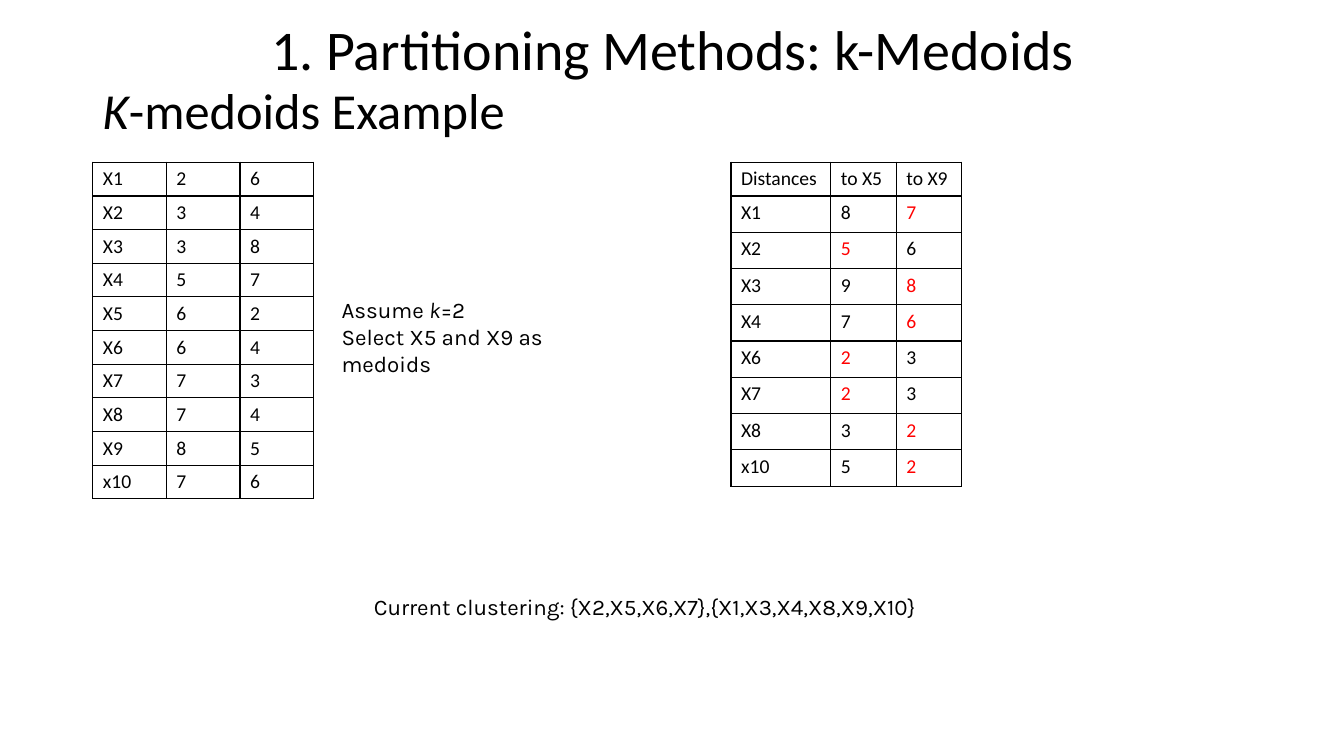
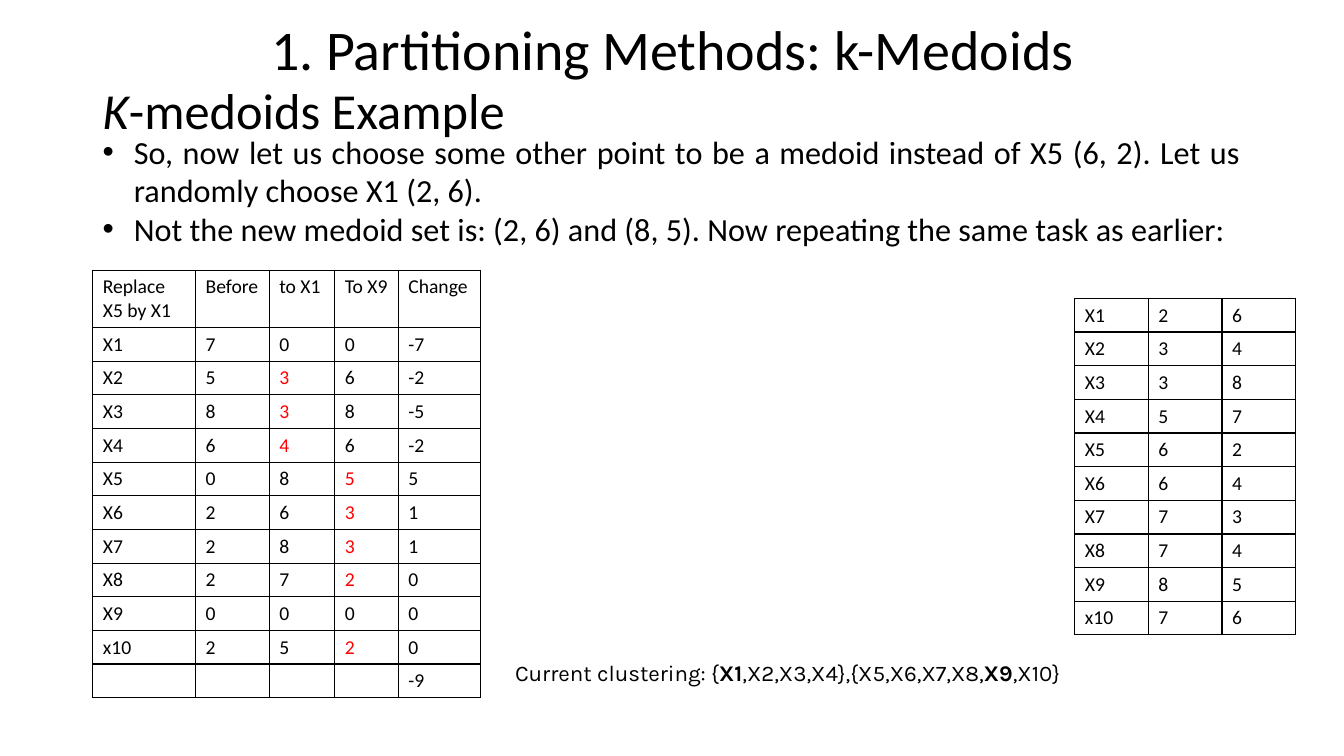
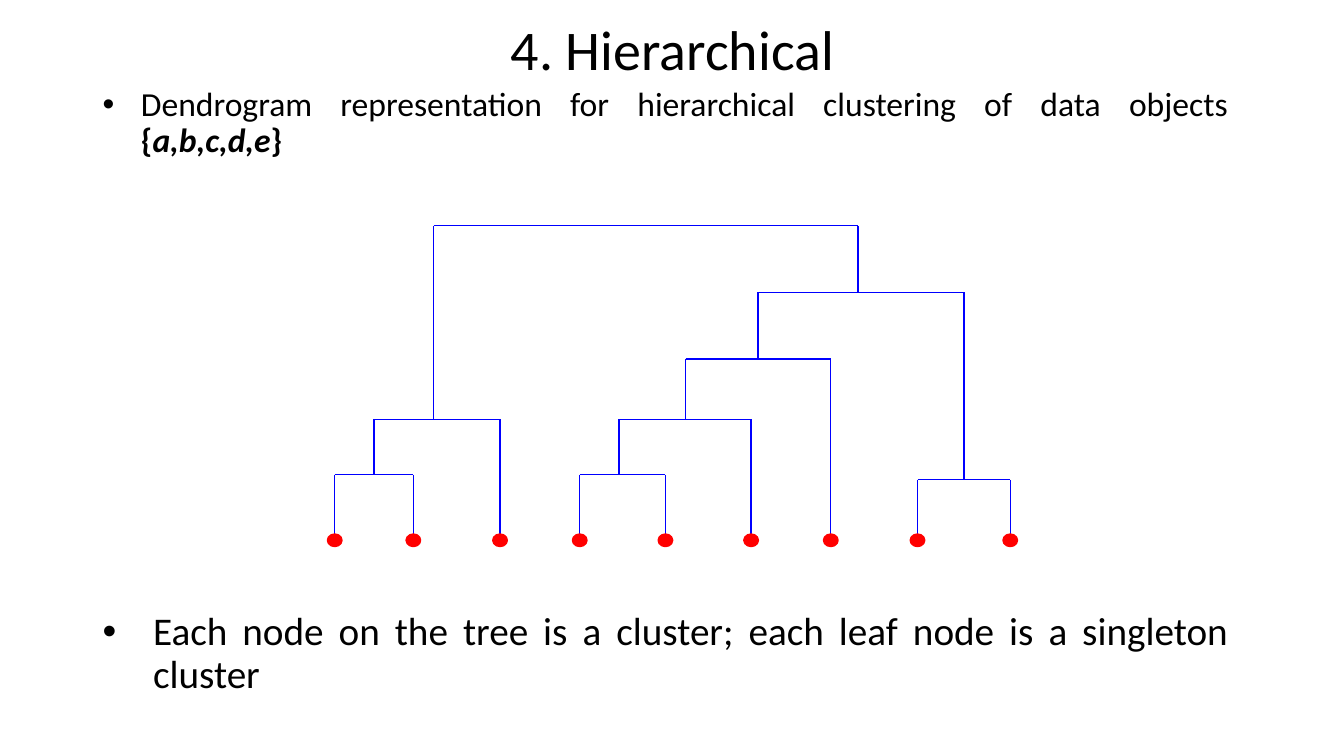
from lxml import etree
from pptx import Presentation
from pptx.dml.color import RGBColor
from pptx.enum.shapes import MSO_CONNECTOR, MSO_SHAPE
from pptx.enum.text import MSO_ANCHOR, PP_ALIGN
from pptx.oxml import parse_xml
from pptx.oxml.ns import nsdecls, qn
from pptx.util import Inches, Pt

LEFT, CENTER, JUSTIFY = PP_ALIGN.LEFT, PP_ALIGN.CENTER, PP_ALIGN.JUSTIFY
TOP, MIDDLE = MSO_ANCHOR.TOP, MSO_ANCHOR.MIDDLE
STRAIGHT, ELLIPSE = MSO_CONNECTOR.STRAIGHT, MSO_SHAPE.OVAL
BLACK, RED, BLUE = "000000", "FF0000", "0000FF"
BODY_FONT, NOTE_FONT = "Calibri", "Karla"


def colour(hex_string):
    return RGBColor.from_string(hex_string)


def add_text(page, at, paragraphs, size, font=BODY_FONT, align=LEFT,
             anchor=TOP, spacing=1.0, indent=0):
    """Each paragraph is a list of (text, style); style holds b and/or i."""
    box = page.shapes.add_textbox(*map(Inches, at))
    frame = box.text_frame
    frame.word_wrap = True
    frame.vertical_anchor = anchor
    for index, spans in enumerate(paragraphs):
        para = frame.paragraphs[0] if index == 0 else frame.add_paragraph()
        para.alignment = align
        para.line_spacing = spacing
        if indent:
            props = para._p.get_or_add_pPr()
            props.set("marL", str(Inches(indent)))
            props.set("indent", str(-Inches(indent)))
            etree.SubElement(props, qn("a:buFont"), typeface="Arial")
            etree.SubElement(props, qn("a:buChar"), char="•")
        for text, style in spans:
            span = para.add_run()
            span.text = text
            span.font.name = font
            span.font.size = Pt(size)
            span.font.color.rgb = colour(BLACK)
            span.font.bold = "b" in style
            span.font.italic = "i" in style


deck = Presentation()
deck.slide_width, deck.slide_height = Inches(13.33), Inches(7.5)

# Titles and subtitles
MEDOIDS_TITLE = "1. Partitioning Methods: k-Medoids"
pages = []
for title in (MEDOIDS_TITLE, MEDOIDS_TITLE, "4. Hierarchical"):
    page = deck.slides.add_slide(deck.slide_layouts[6])
    add_text(page, (0.92, 0.13, 11.5, 0.78), [[(title, "")]], 40,
             align=CENTER, anchor=MIDDLE, spacing=0.9)
    if title == MEDOIDS_TITLE:
        add_text(page, (0.92, 0.4, 11.5, 1.45),
                 [[("K", "i"), ("-medoids Example", "")]], 36,
                 anchor=MIDDLE, spacing=0.9)
    pages.append(page)
first_page, swap_page, tree_page = pages

# Table data: a trailing * marks a value in red
POINTS = """X1 2 6
X2 3 4
X3 3 8
X4 5 7
X5 6 2
X6 6 4
X7 7 3
X8 7 4
X9 8 5
x10 7 6"""
points = [line.split() for line in POINTS.splitlines()]

DISTANCES = """X1 8 7*
X2 5* 6
X3 9 8*
X4 7 6*
X6 2* 3
X7 2* 3
X8 3 2*
x10 5 2*"""
distances = [["Distances", "to X5", "to X9"]]
distances += [line.split() for line in DISTANCES.splitlines()]

CHANGES = """X1 7 0 0 -7
X2 5 3* 6 -2
X3 8 3* 8 -5
X4 6 4* 6 -2
X5 0 8 5* 5
X6 2 6 3* 1
X7 2 8 3* 1
X8 2 7 2* 0
X9 0 0 0 0
x10 2 5 2* 0"""
changes = [["Replace X5 by X1", "Before", "to X1", "To X9", "Change"]]
changes += [line.split() for line in CHANGES.splitlines()]
changes.append(["", "", "", "", "-9"])

# Tables: page, left, top, column widths, header height, row height, rows
tables = [
    (first_page, 0.92, 1.61, [0.73] * 3, 0.33, 0.33, points),
    (first_page, 7.25, 1.61, [0.99, 0.65, 0.65], 0.33, 0.36, distances),
    (swap_page, 0.92, 2.68, [1.02, 0.73, 0.65, 0.63, 0.82], 0.57, 0.33, changes),
    (swap_page, 10.66, 2.96, [0.73] * 3, 0.33, 0.33, points),
]
for page, left, top, widths, header_height, row_height, rows in tables:
    heights = [header_height] + [row_height] * (len(rows) - 1)
    table = page.shapes.add_table(
        len(rows), len(widths), Inches(left), Inches(top),
        Inches(sum(widths)), Inches(sum(heights))).table
    table.first_row = table.horz_banding = False
    for column, width in zip(table.columns, widths):
        column.width = Inches(width)
    for row, height, values in zip(table.rows, heights, rows):
        row.height = Inches(height)
        for cell, value in zip(row.cells, values):
            cell.fill.background()
            for position, side in enumerate(("lnL", "lnR", "lnT", "lnB")):
                cell._tc.tcPr.insert(position, parse_xml(
                    f'<a:{side} {nsdecls("a")} w="{Pt(1)}"><a:solidFill>'
                    f'<a:srgbClr val="{BLACK}"/></a:solidFill></a:{side}>'))
            para = cell.text_frame.paragraphs[0]
            if not value:
                etree.SubElement(para._p, qn("a:endParaRPr"), sz="1400")
                continue
            span = para.add_run()
            span.text = value.rstrip("*")
            span.font.name = BODY_FONT
            span.font.size = Pt(14)
            span.font.color.rgb = colour(RED if value.endswith("*") else BLACK)

# Notes beside the tables
add_text(first_page, (3.29, 2.89, 2.5, 0.9),
         [[("Assume ", ""), ("k", "i"), ("=2", "")],
          [("Select X5 and X9 as medoids", "")]], 16, NOTE_FONT)
add_text(first_page, (3.61, 5.84, 5.8, 0.37),
         [[("Current clustering: {X2,X5,X6,X7},{X1,X3,X4,X8,X9,X10}", "")]],
         16, NOTE_FONT)
add_text(swap_page, (5.01, 6.49, 5.88, 0.37),
         [[("Current clustering: {", ""), ("X1", "b"),
           (",X2,X3,X4},{X5,X6,X7,X8,", ""), ("X9", "b"), (",X10}", "")]],
         16, NOTE_FONT)

# Bullets
add_text(swap_page, (0.92, 1.26, 11.5, 1.26),
         [[("So, now let us choose some other point to be a medoid instead of "
            "X5 (6, 2). Let us randomly choose X1 (2, 6).", "")],
          [("Not the new medoid set is: (2, 6) and (8, 5). Now repeating the "
            "same task as earlier:", "")]],
         23, align=JUSTIFY, indent=0.31)
add_text(tree_page, (0.92, 0.82, 11.36, 0.85),
         [[("Dendrogram representation for hierarchical clustering of data "
            "objects ", ""), ("{", "b"), ("a,b,c,d,e", "bi"), ("}", "b")]],
         24, align=JUSTIFY, spacing=0.9, indent=0.38)
add_text(tree_page, (0.92, 6.02, 11.36, 0.95),
         [[("Each node on the tree is a cluster; each leaf node is a singleton "
            "cluster", "")]],
         28, align=JUSTIFY, spacing=0.9, indent=0.5)

# Dendrogram: every merge joins two branches (x, foot) with a bar
LEAF_Y = 5.36
leaves = [3.32, 4.1, 4.96, 5.75, 6.6, 7.45, 8.24, 9.1, 10.02]
merges = [  # bar height, left branch, right branch
    (4.71, (3.32, LEAF_Y), (4.1, LEAF_Y)),
    (4.71, (5.75, LEAF_Y), (6.6, LEAF_Y)),
    (4.76, (9.1, LEAF_Y), (10.02, LEAF_Y)),
    (4.16, (3.71, 4.71), (4.96, LEAF_Y)),
    (4.16, (6.14, 4.71), (7.45, LEAF_Y)),
    (3.56, (6.8, 4.16), (8.24, LEAF_Y)),
    (2.9, (7.52, 3.56), (9.56, 4.76)),
    (2.24, (4.3, 4.16), (8.51, 2.9)),
]
for bar, left_foot, right_foot in merges:
    left_top, right_top = (left_foot[0], bar), (right_foot[0], bar)
    for start, end in ((left_foot, left_top), (left_top, right_top),
                       (right_top, right_foot)):
        branch = tree_page.shapes.add_connector(
            STRAIGHT, *map(Inches, start + end))
        branch.line.color.rgb = colour(BLUE)
        branch.line.width = Pt(1)
        etree.SubElement(branch._element.spPr, qn("a:effectLst"))

LEAF_WIDTH, LEAF_HEIGHT = 0.13, 0.11
for x in leaves:
    leaf = tree_page.shapes.add_shape(
        ELLIPSE, Inches(x - LEAF_WIDTH / 2), Inches(LEAF_Y - LEAF_HEIGHT / 2),
        Inches(LEAF_WIDTH), Inches(LEAF_HEIGHT))
    leaf.shadow.inherit = False
    leaf.fill.solid()
    leaf.fill.fore_color.rgb = colour(RED)
    leaf.line.color.rgb = colour(RED)
    leaf.line.width = Pt(2)

deck.save("out.pptx")
